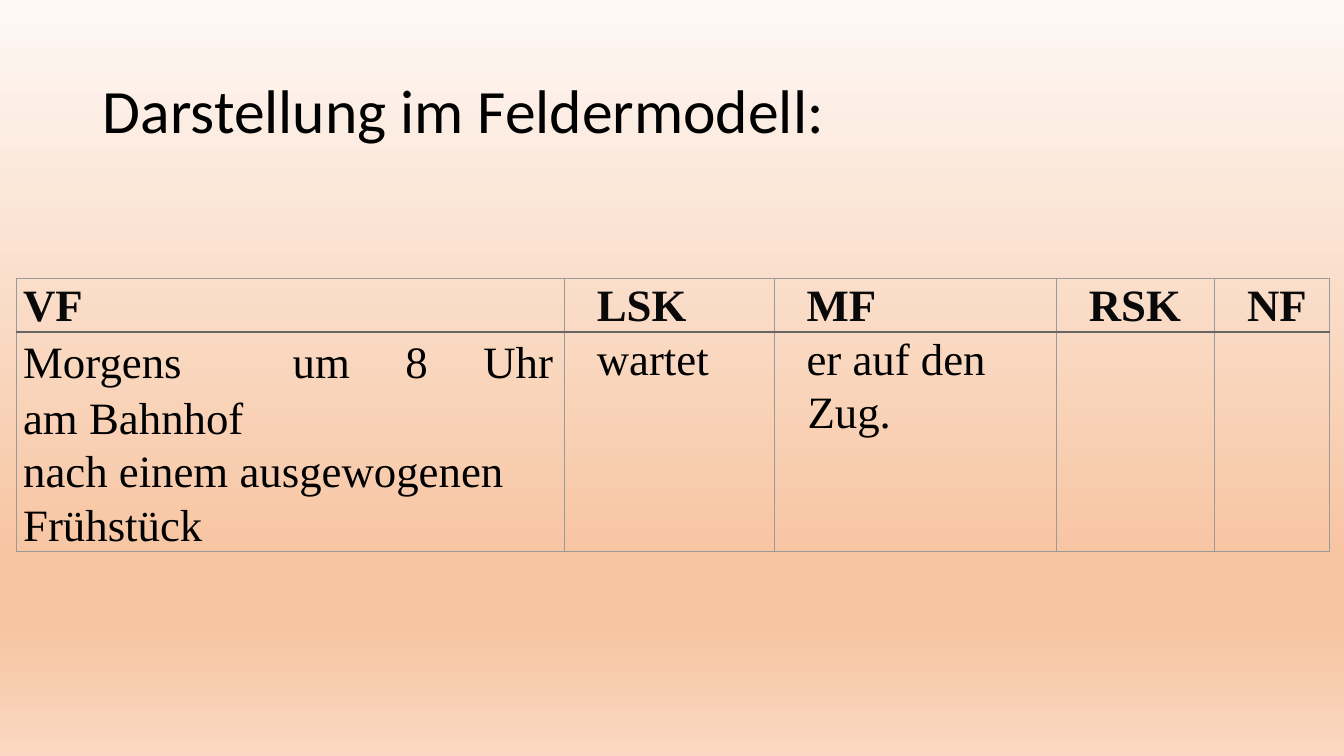
from lxml.etree import SubElement
from pptx import Presentation
from pptx.dml.color import RGBColor
from pptx.enum.text import MSO_ANCHOR, PP_ALIGN
from pptx.oxml.ns import qn
from pptx.util import Inches, Pt

BLACK = RGBColor(0x00, 0x00, 0x00)
HEADER_INK = RGBColor(0x09, 0x09, 0x0A)
GRID_GREY = RGBColor(0x9A, 0x9A, 0x9B)
RULE_GREY = RGBColor(0x66, 0x66, 0x66)
BACKDROP_STOPS = [
    (0, RGBColor(0xFE, 0xF8, 0xF5)),
    (74, RGBColor(0xF7, 0xC5, 0xA2)),
    (83, RGBColor(0xF7, 0xC5, 0xA2)),
    (100, RGBColor(0xFA, 0xD8, 0xC1)),
]


def add_border(cell, side, color, width):
    line = SubElement(cell._tc.get_or_add_tcPr(), qn(f"a:ln{side}"), w=str(Pt(width)))
    fill = SubElement(line, qn("a:solidFill"))
    SubElement(fill, qn("a:srgbClr"), val=str(color))


presentation = Presentation()
presentation.slide_width = Inches(13.33)
presentation.slide_height = Inches(7.5)
slide = presentation.slides.add_slide(presentation.slide_layouts[5])

backdrop = slide.background.fill
backdrop.gradient()
backdrop.gradient_angle = 270
stop_list = slide.element.xpath(".//a:gsLst")[0]
for old_stop in list(stop_list):
    stop_list.remove(old_stop)
for percent, color in BACKDROP_STOPS:
    stop = SubElement(stop_list, qn("a:gs"), pos=str(percent * 1000))
    SubElement(stop, qn("a:srgbClr"), val=str(color))

title = slide.shapes.title
title.left, title.top = Inches(0.92), Inches(0.4)
title.width, title.height = Inches(11.5), Inches(1.45)
title.text_frame.text = "Darstellung im Feldermodell:"
title.text_frame.vertical_anchor = MSO_ANCHOR.MIDDLE
heading = title.text_frame.paragraphs[0]
heading.alignment = PP_ALIGN.LEFT
heading.line_spacing = 0.9
heading.font.name = "Calibri"
heading.font.size = Pt(44)
heading.font.color.rgb = BLACK

field_rows = [
    ["VF", "LSK", "MF", "RSK", "NF"],
    [
        "Morgens  um 8 Uhr\vam Bahnhof\nnach einem ausgewogenen Frühstück",
        "wartet",
        "er auf den Zug.",
        "",
        "",
    ],
]
column_widths = [5.44, 2.08, 2.8, 1.57, 1.14]
row_heights = [0.53, 2.18]

field_model = slide.shapes.add_table(
    2, 5, Inches(0.16), Inches(2.76), Inches(sum(column_widths)), Inches(sum(row_heights))
).table
field_model.first_row = False
field_model.horz_banding = False
for column, width in zip(field_model.columns, column_widths):
    column.width = Inches(width)
for row, height in zip(field_model.rows, row_heights):
    row.height = Inches(height)

for row_index, fields in enumerate(field_rows):
    is_header = row_index == 0
    for column_index, wording in enumerate(fields):
        cell = field_model.cell(row_index, column_index)
        cell.margin_left, cell.margin_right = Inches(0.07), Inches(0.11)
        cell.margin_top = cell.margin_bottom = 0
        rule_side = "B" if is_header else "T"
        for side in "LRTB":
            if side == rule_side:
                add_border(cell, side, RULE_GREY, 1.5)
            else:
                add_border(cell, side, GRID_GREY, 1)
        cell.fill.background()
        cell.text_frame.text = wording
        for paragraph in cell.text_frame.paragraphs:
            properties = paragraph._p.get_or_add_pPr()
            properties.set("marL", str(Inches(0.26 if column_index else 0)))
            properties.set("indent", str(Inches(-0.01)))
            paragraph.line_spacing = 1.07
            paragraph.space_after = Pt(0.2)
            paragraph.font.size = Pt(32)
            for run in paragraph.runs:
                run.font.name = "Times New Roman"
                run.font.size = Pt(32)
                run.font.bold = is_header
                run.font.color.rgb = HEADER_INK if is_header else BLACK

time_and_place = field_model.cell(1, 0).text_frame.paragraphs[0]
time_and_place.alignment = PP_ALIGN.JUSTIFY
time_and_place.line_spacing = 1.13

presentation.save("out.pptx")
